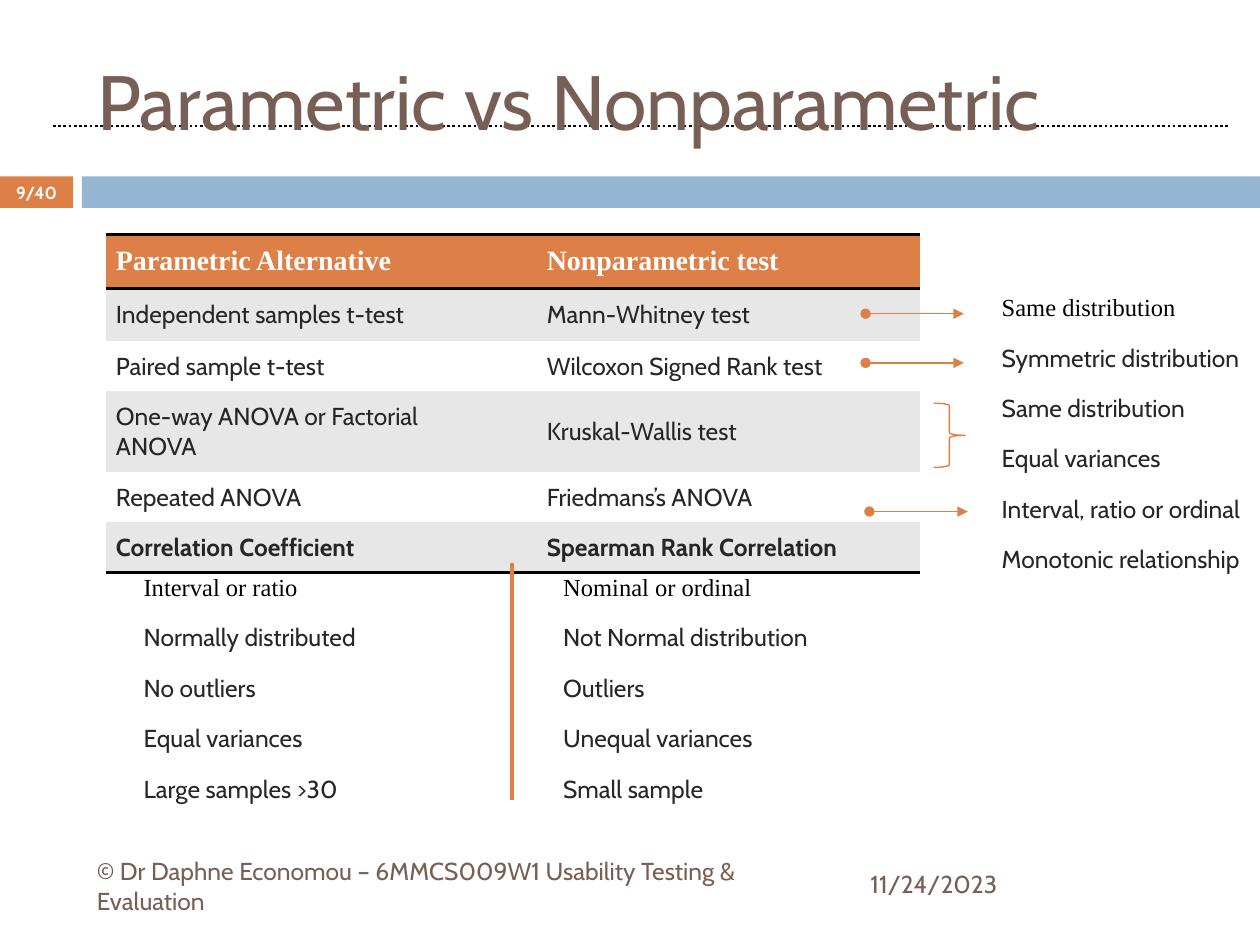
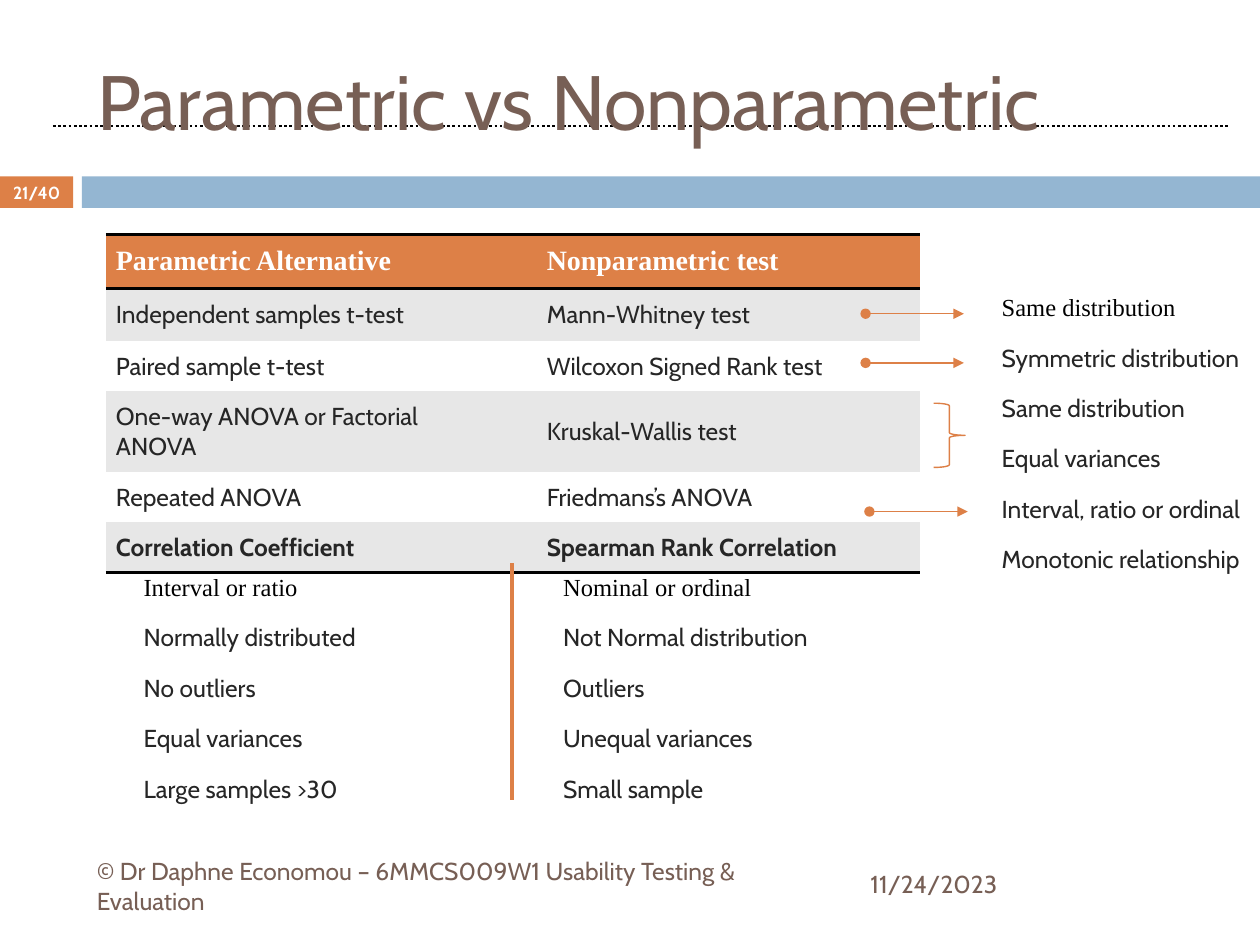
from lxml import etree
from pptx import Presentation
from pptx import util as u
from pptx.dml import color
from pptx.enum import dml, shapes, text
from pptx.oxml import ns

WIDTH, HEIGHT = 10, 7.5
ORANGE, BLUE, BROWN = "DD8047", "94B6D2", "775F55"
BLACK, WHITE, INK, GREY = "000000", "FFFFFF", "262626", "E7E7E7"
SANS, SERIF = "Cabin", "Times New Roman"
NO_STYLE = "{2D5ABB26-0587-4C30-8999-92F81FD0307C}"
MARGIN = 0.08

TITLE = "Parametric vs Nonparametric"
FOOTER = "© Dr Daphne Economou – 6MMCS009W1 Usability Testing & Evaluation"
DATE = "11/24/2023"
PAGE_NUMBERS = ["9/40", "21/40"]

TESTS = [
    ("Parametric Alternative", "Nonparametric test"),
    ("Independent samples t-test", "Mann-Whitney test"),
    ("Paired sample t-test", "Wilcoxon Signed Rank test"),
    ("One-way ANOVA or Factorial ANOVA", "Kruskal-Wallis test"),
    ("Repeated ANOVA", "Friedmans’s ANOVA"),
    ("Correlation Coefficient", "Spearman Rank Correlation"),
]
CONDITIONS = [
    ("Interval or ratio", "Nominal or ordinal"),
    ("Normally distributed", "Not Normal distribution"),
    ("No outliers", "Outliers"),
    ("Equal variances", "Unequal variances"),
    ("Large samples >30", "Small sample"),
    ("", ""),
]
ASSUMPTIONS = [
    ("Same distribution",),
    ("Symmetric distribution",),
    ("Same distribution",),
    ("Equal variances",),
    ("Interval, ratio or ordinal",),
    ("Monotonic relationship",),
]
ARROWS = [(6.87, 2.49), (6.87, 2.88), (6.9, 4.06)]
ARROW_LENGTH = 0.78


def rgb(value):
    return color.RGBColor.from_string(value)


def inches(*values):
    return [u.Inches(value) for value in values]


def write(frame, words, size=14, font=SANS, ink=INK, bold=False,
          align=text.PP_ALIGN.LEFT, indent=0):
    para = frame.paragraphs[0]
    para.alignment = align
    if indent:
        properties = para._p.get_or_add_pPr()
        properties.set("marL", "0")
        properties.set("indent", str(u.Inches(indent)))
    if words:
        span = para.add_run()
        span.text = words
        span.font.size = u.Pt(size)
        span.font.name = font
        span.font.bold = bold
        span.font.color.rgb = rgb(ink)


def add_text(page, words, place, margin=0.1, **style):
    frame = page.shapes.add_textbox(*inches(*place)).text_frame
    frame.word_wrap = True
    frame.vertical_anchor = text.MSO_ANCHOR.MIDDLE
    frame.margin_left = frame.margin_right = u.Inches(margin)
    write(frame, words, **style)


def add_band(page, left, width, fill):
    band = page.shapes.add_shape(shapes.MSO_SHAPE.RECTANGLE, *inches(left, 1.4, width, 0.25))
    band.shadow.inherit = False
    band.fill.solid()
    band.fill.fore_color.rgb = rgb(fill)
    band.line.fill.background()


def add_line(page, start, end, ink=ORANGE, width=0.79, dash=None, arrow=False):
    line = page.shapes.add_connector(shapes.MSO_CONNECTOR.STRAIGHT, *inches(*start, *end))
    line.line.color.rgb = rgb(ink)
    line.line.width = u.Pt(width)
    if dash:
        line.line.dash_style = dash
    if arrow:
        outline = line.line._get_or_add_ln()
        for tag, kind in (("a:headEnd", "oval"), ("a:tailEnd", "triangle")):
            etree.SubElement(outline, ns.qn(tag), type=kind)
    etree.SubElement(line._element.spPr, ns.qn("a:effectLst"))


def add_borders(cell, sides):
    properties = cell._tc.get_or_add_tcPr()
    for position, side in enumerate(sides):
        border = etree.Element(ns.qn("a:ln" + side), w=str(u.Pt(2)))
        fill = etree.SubElement(border, ns.qn("a:solidFill"))
        etree.SubElement(fill, ns.qn("a:srgbClr"), val=BLACK)
        properties.insert(position, border)


def add_table(page, rows, left, top, widths, heights, row_format):
    frame = page.shapes.add_table(
        len(rows), len(widths), *inches(left, top, sum(widths), sum(heights)))
    table = frame.table
    table.horz_banding = False
    next(table._tbl.iter(ns.qn("a:tableStyleId"))).text = NO_STYLE
    for column, width in zip(table.columns, widths):
        column.width = u.Inches(width)
    for index, (words, height) in enumerate(zip(rows, heights)):
        table.rows[index].height = u.Inches(height)
        fill, sides, indent, style = row_format(index)
        for place, word in enumerate(words):
            cell = table.cell(index, place)
            cell.margin_left = cell.margin_right = u.Inches(MARGIN)
            cell.margin_top = cell.margin_bottom = u.Inches(MARGIN)
            cell.vertical_anchor = text.MSO_ANCHOR.MIDDLE
            if fill:
                cell.fill.solid()
                cell.fill.fore_color.rgb = rgb(fill)
            else:
                cell.fill.background()
            add_borders(cell, sides)
            write(cell.text_frame, word, indent=indent * place, **style)


def test_format(index):
    if index == 0:
        return ORANGE, "TB", 0.2, dict(size=16, font=SERIF, ink=WHITE, bold=True)
    last = index == len(TESTS) - 1
    return GREY if index % 2 else WHITE, "B" if last else "", 0.2, dict(bold=last)


def plain_format(index):
    return None, "", 0, dict(font=SERIF, ink=BLACK) if index == 0 else {}


def add_frame(deck, number):
    page = deck.slides.add_slide(deck.slide_layouts[5])
    add_band(page, 0, 0.58, ORANGE)
    add_band(page, 0.65, WIDTH - 0.65, BLUE)
    add_line(page, (0.42, 1), (9.75, 1), BLACK, 1.5, dml.MSO_LINE.ROUND_DOT)
    add_text(page, DATE, (6.81, 6.81, 2.92, 0.4), ink=BROWN)
    title = page.shapes.title
    title.left, title.top, title.width, title.height = inches(0.67, 0.25, 8.92, 1.08)
    title.text_frame.vertical_anchor = text.MSO_ANCHOR.MIDDLE
    write(title.text_frame, TITLE, size=44, ink=BROWN)
    page.shapes._spTree.append(title._element)
    add_text(page, FOOTER, (0.67, 6.83, 5.93, 0.4), ink=BROWN)
    add_text(page, number, (0, 1.39, 0.58, 0.27), margin=0, size=10, ink=WHITE,
             bold=True, align=text.PP_ALIGN.CENTER)
    return page


def add_comparison(page):
    add_table(page, TESTS, 0.84, 1.86, (3.22, 3.24),
              (0.41, 0.42, 0.4, 0.64, 0.4, 0.4), test_format)
    add_table(page, CONDITIONS, 1.06, 4.47, (3.33, 2.9),
              [0.38] + [0.4] * 5, plain_format)
    add_table(page, ASSUMPTIONS, 7.87, 2.25, (2.28,),
              [0.38] + [0.4] * 5, plain_format)
    add_line(page, (4.06, 4.47), (4.06, 6.35), width=2.25)
    for left, top in ARROWS:
        add_line(page, (left, top), (left + ARROW_LENGTH, top), arrow=True)
    brace = page.shapes.add_shape(shapes.MSO_SHAPE.RIGHT_BRACE, *inches(7.41, 3.2, 0.25, 0.51))
    brace.shadow.inherit = False
    brace.fill.background()
    brace.line.color.rgb = rgb(ORANGE)
    brace.line.width = u.Pt(0.79)


def main():
    deck = Presentation()
    deck.slide_width, deck.slide_height = inches(WIDTH, HEIGHT)
    for number in PAGE_NUMBERS:
        add_comparison(add_frame(deck, number))
    deck.save("out.pptx")


if __name__ == "__main__":
    main()
